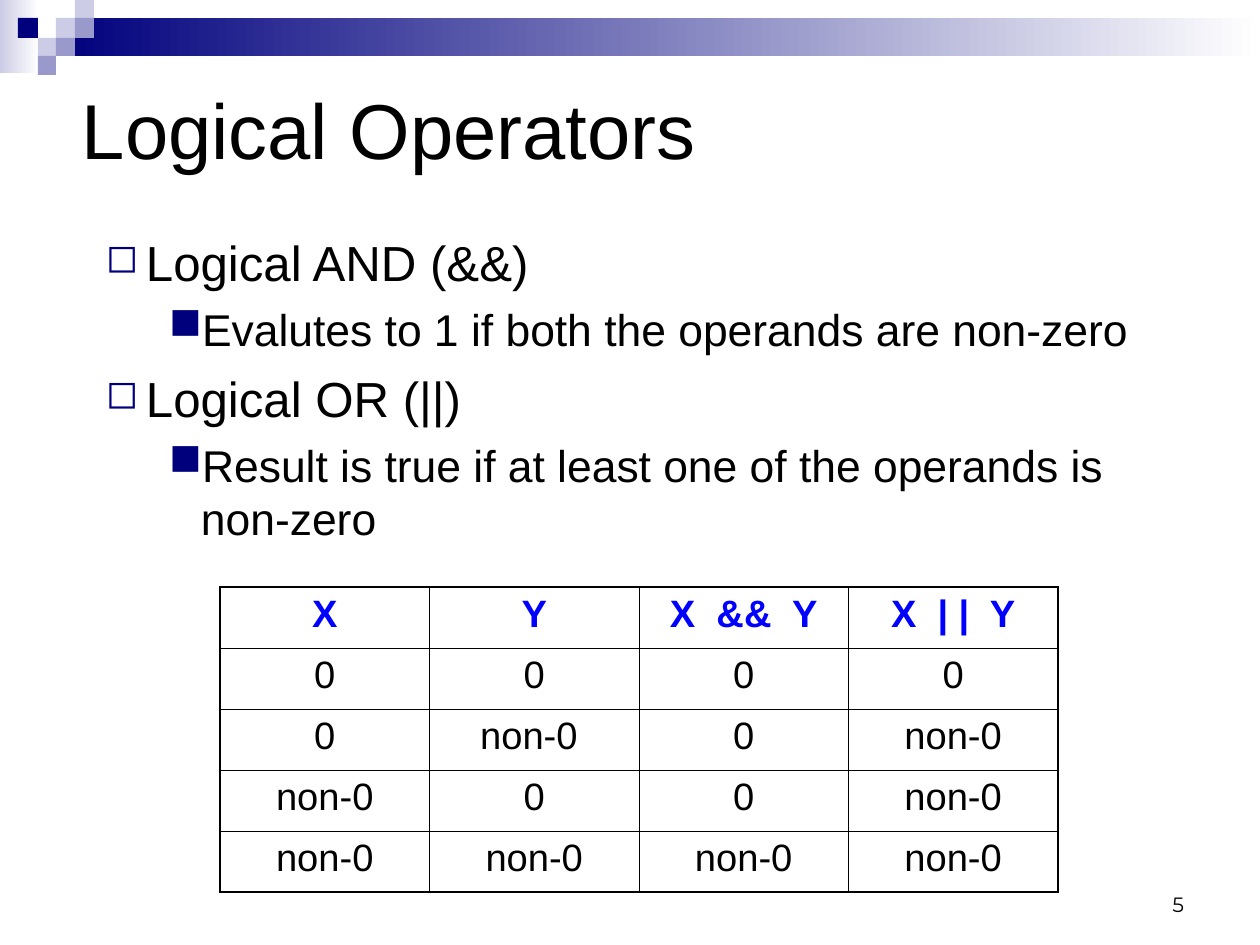
from lxml import etree
from pptx import Presentation
from pptx.dml.color import RGBColor
from pptx.enum.shapes import MSO_SHAPE
from pptx.enum.text import MSO_ANCHOR, MSO_AUTO_SIZE, PP_ALIGN
from pptx.oxml.ns import qn
from pptx.util import Pt

RECT = MSO_SHAPE.RECTANGLE
LEFT, CENTER, RIGHT = PP_ALIGN.LEFT, PP_ALIGN.CENTER, PP_ALIGN.RIGHT
TOP, MIDDLE, BOTTOM = MSO_ANCHOR.TOP, MSO_ANCHOR.MIDDLE, MSO_ANCHOR.BOTTOM
NO_AUTOFIT = MSO_AUTO_SIZE.NONE
PX = 8000
COLORS = {"navy": "00007D", "lilac": "CCCCE6", "violet": "9999CC",
          "white": "FFFFFF", "black": "000000", "blue": "0000FF"}


def rgb(name):
    return RGBColor.from_string(COLORS[name])


def add_run(p, text, size, color="black", bold=False, font="Arial"):
    r = p.add_run()
    r.text = text
    r.font.size, r.font.name, r.font.bold = Pt(size), font, bold
    r.font.color.rgb = rgb(color)


prs = Presentation()
prs.slide_width, prs.slide_height = 1260 * PX, 945 * PX
s = prs.slides.add_slide(prs.slide_layouts[5])

# Header band: two gradient bars, then a mosaic of squares
bars = [((0, 0, 39, 73), "lilac"), ((57, 18, 1203, 38), "navy")]
for box, color in bars:
    sp = s.shapes.add_shape(RECT, *[v * PX for v in box])
    sp.shadow.inherit = False
    sp.line.fill.background()
    sp.fill.gradient()
    sp.fill.gradient_angle = 0
    start, end = sp.fill.gradient_stops
    start.color.rgb, end.color.rgb = rgb(color), rgb("white")

edges = [0, 18, 38, 56, 75, 94]
squares = [(3, 1, "lilac"), (4, 0, "lilac"), (4, 1, "violet"), (2, 2, "lilac"),
           (1, 1, "navy"), (3, 2, "violet"), (2, 3, "violet")]
for col, row, color in squares:
    x, y = edges[col], edges[row]
    sp = s.shapes.add_shape(RECT, x * PX, y * PX, (edges[col + 1] - x) * PX,
                            (edges[row + 1] - y) * PX)
    sp.shadow.inherit = False
    sp.line.fill.background()
    sp.fill.solid()
    sp.fill.fore_color.rgb = rgb(color)

# Text frames: title, bullets and page number
title = s.shapes.title
title.left, title.top, title.width, title.height = [v * PX for v in (69, 34, 1134, 189)]
bullets = s.shapes.add_textbox(30 * PX, 225 * PX, 1134 * PX, 535 * PX)
page = s.shapes.add_textbox(903 * PX, 861 * PX, 294 * PX, 63 * PX)
for sp, anchor, align in [(title, MIDDLE, LEFT), (bullets, TOP, LEFT), (page, BOTTOM, RIGHT)]:
    tf = sp.text_frame
    tf.word_wrap, tf.auto_size, tf.vertical_anchor = True, NO_AUTOFIT, anchor
    tf.margin_left = tf.margin_right = 13 * PX
    tf.margin_top = tf.margin_bottom = 7 * PX
    tf.paragraphs[0].alignment = align

add_run(title.text_frame.paragraphs[0], "Logical Operators", 49)
add_run(page.text_frame.paragraphs[0], "5", 13, font="Montserrat")

# Level: indent, hanging, space before, size, bullet, bullet size
levels = {1: (103, 40, 7.7, 31, "◻", 80), 2: (158, 32, 7, 28, "■", 100)}
points = [(1, "Logical AND (&&)"),
          (2, "Evalutes to 1 if both the operands are non-zero"),
          (1, "Logical OR (||)"),
          (2, "Result is true if at least one of the operands is non-zero")]
tf = bullets.text_frame
for i, (level, text) in enumerate(points):
    indent, hanging, before, size, mark, percent = levels[level]
    p = tf.add_paragraph() if i else tf.paragraphs[0]
    p.level = level
    p.space_before = Pt(before)
    add_run(p, text, size)
    pPr = p._p.get_or_add_pPr()
    pPr.set("marL", str(indent * PX))
    pPr.set("indent", str(-hanging * PX))
    buClr = etree.SubElement(pPr, qn("a:buClr"))
    etree.SubElement(buClr, qn("a:srgbClr"), val=COLORS["navy"])
    etree.SubElement(pPr, qn("a:buSzPct"), val=str(percent * 1000))
    etree.SubElement(pPr, qn("a:buChar"), char=mark)

# Truth table
rows = [["X", "Y", "X  &&  Y", "X  | |  Y"],
        ["0", "0", "0", "0"],
        ["0", "non-0 ", "0", "non-0"],
        ["non-0", "0", "0", "non-0"],
        ["non-0", "non-0", "non-0", "non-0"]]
n_rows, n_cols = len(rows), len(rows[0])
table = s.shapes.add_table(n_rows, n_cols, 220 * PX, 587 * PX, 838 * PX, 61 * n_rows * PX).table
table.first_row = table.horz_banding = False
for i, row in enumerate(rows):
    for j, text in enumerate(row):
        cell = table.cell(i, j)
        cell.fill.background()
        cell.margin_left = cell.margin_right = 13 * PX
        cell.margin_top = cell.margin_bottom = 6 * PX
        p = cell.text_frame.paragraphs[0]
        p.alignment = CENTER
        p.space_before = Pt(6)
        add_run(p, text, 24, "black" if i else "blue", bold=i == 0)
        outer = {"lnL": j == 0, "lnR": j == n_cols - 1, "lnT": i == 0, "lnB": i == n_rows - 1}
        tcPr = cell._tc.get_or_add_tcPr()
        for k, (side, is_outer) in enumerate(outer.items()):
            ln = etree.Element(qn(f"a:{side}"), w=str(Pt(1.08 if is_outer else 0.45)))
            fill = etree.SubElement(ln, qn("a:solidFill"))
            etree.SubElement(fill, qn("a:srgbClr"), val=COLORS["black"])
            tcPr.insert(k, ln)

prs.save("out.pptx")
